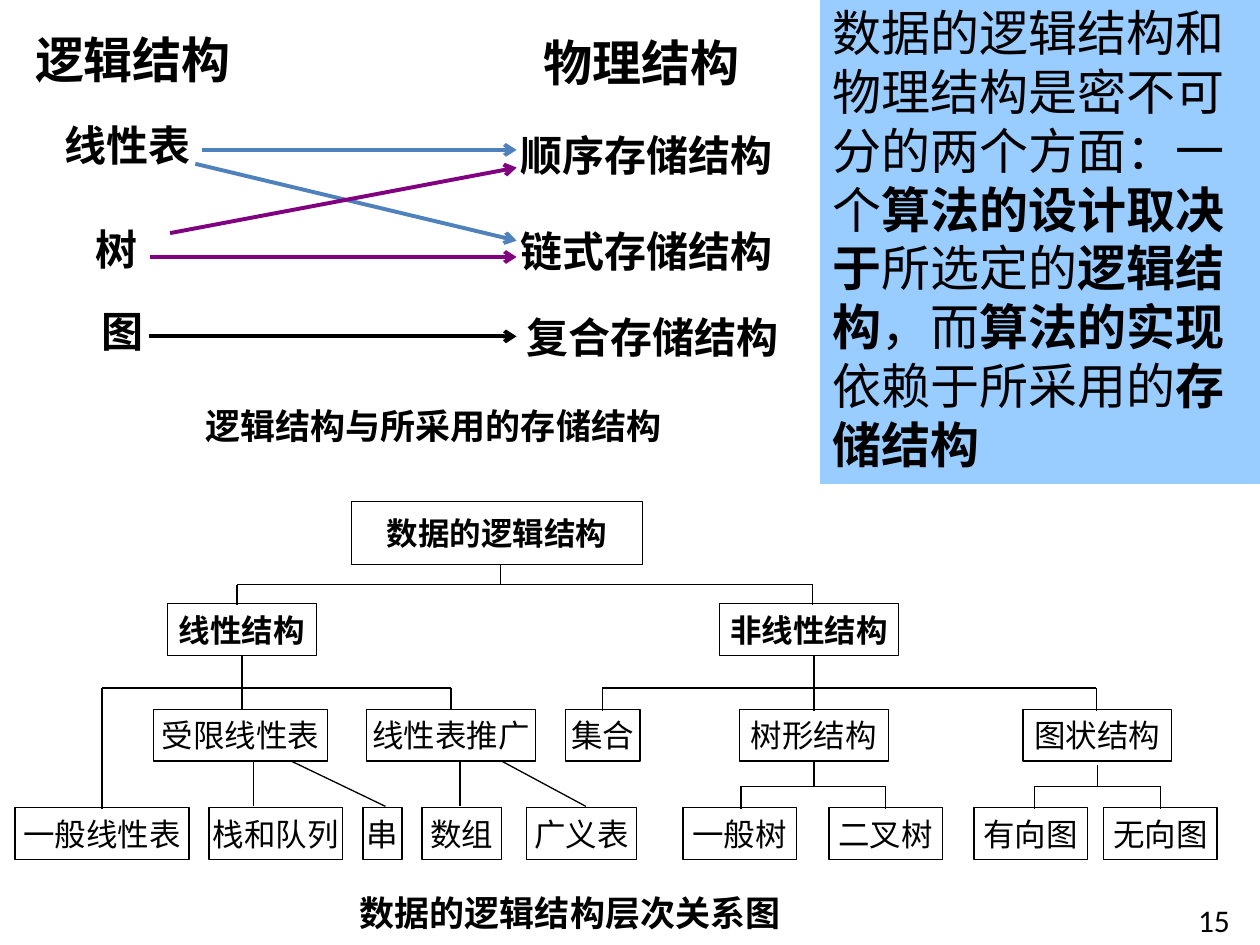
from lxml import etree
from pptx import Presentation
from pptx import util as u
from pptx.dml.color import RGBColor
from pptx.enum import shapes, text
from pptx.oxml import ns

BLACK = RGBColor(0x00, 0x00, 0x00)
BLUE = RGBColor(0x4F, 0x81, 0xBD)
PURPLE = RGBColor(0x80, 0x00, 0x80)
SKY = RGBColor(0x99, 0xCC, 0xFF)
SERIF = "Times New Roman"
SANS = "Noto Sans CJK SC"
CELL = u.Inches(0.1)
CENTER = text.PP_ALIGN.CENTER


def cells(*nums):
    return [int(n * CELL) for n in nums]


def shift(box, x, y):
    return box[0] + x, box[1] + y


def place(shape, box):
    shape.left, shape.top, shape.width, shape.height = cells(*box)


def write(shape, runs, size=18, font=SERIF, bold=False, align=CENTER,
          wrap=False, anchor=text.MSO_ANCHOR.MIDDLE):
    frame = shape.text_frame
    frame.auto_size = text.MSO_AUTO_SIZE.NONE
    frame.word_wrap = wrap
    frame.vertical_anchor = anchor
    para = frame.paragraphs[0]
    para.alignment = align
    para.space_before = u.Pt(0)
    for part, heavy in [(runs, bold)] if isinstance(runs, str) else runs:
        run = para.add_run()
        run.text = part
        run.font.size = u.Pt(size)
        run.font.name = font
        run.font.bold = heavy
        run.font.color.rgb = BLACK


def label(slide, box, words, **style):
    write(slide.shapes.add_textbox(*cells(*box)), words, **style)


def node(slide, box, words, bold=False):
    shape = slide.shapes.add_shape(shapes.MSO_SHAPE.RECTANGLE, *cells(*box))
    shape.shadow.inherit = False
    shape.fill.background()
    shape.line.color.rgb = BLACK
    shape.line.width = u.Pt(0.75)
    write(shape, words, bold=bold)


def link(slide, start, end, color=BLACK, width=0.75, arrow=False):
    line = slide.shapes.add_connector(
        shapes.MSO_CONNECTOR.STRAIGHT, *cells(*start, *end))
    line.line.color.rgb = color
    line.line.width = u.Pt(width)
    if arrow:
        edge = line.line._get_or_add_ln()
        etree.SubElement(edge, ns.qn("a:tailEnd"), type="arrow")
    etree.SubElement(line._element.spPr, ns.qn("a:effectLst"))


def fork(slide, box, stem, top, bar, kids, foot):
    def draw(x1, y1, x2, y2):
        link(slide, shift(box, x1, y1), shift(box, x2, y2))

    draw(stem, top, stem, bar)
    draw(min(kids), bar, max(kids), bar)
    for kid in kids:
        draw(kid, bar, kid, foot)


def mapping(slide, box):
    heads = [("逻辑结构", 2.2, 2.1, 16.7), ("物理结构", 43, 2.3, 15.8)]
    terms = [
        ("线性表", 3.5, 9.3, 13.3, 4.3), ("树", 5.1, 17.6, 8.3, 4.3),
        ("图", 6, 24.1, 7.5, 4.3), ("顺序存储结构", 41.3, 9.7, 20, 5.2),
        ("链式存储结构", 41.3, 17.3, 20, 5.2),
        ("复合存储结构", 41.8, 24.1, 20, 5.2),
    ]
    arrows = [
        (16, 11.9, 11.9, BLUE), (15.5, 13, 19.1, BLUE),
        (13.5, 18.5, 13.3, PURPLE), (11.9, 20.4, 20.4, PURPLE),
        (11.8, 26.7, 26.7, BLACK),
    ]
    for words, x, y, w in heads:
        label(slide, (*shift(box, x, y), w, 5.2), words, size=28, bold=True)
    for words, x, y, w, h in terms:
        label(slide, (*shift(box, x, y), w, h), words, size=24, bold=True)
    for x, y, end, color in arrows:
        link(slide, shift(box, x, y), shift(box, 41, end),
             color, 2.25, arrow=True)
    title = slide.shapes.title
    place(title, (*shift(box, 9.4, 31.6), 50, 4.3))
    write(title, "逻辑结构与所采用的存储结构",
          size=20, font=SANS, bold=True, wrap=True)


def panel(slide, box):
    body = slide.placeholders[1]
    place(body, box)
    body.fill.solid()
    body.fill.fore_color.rgb = SKY
    props = body.text_frame.paragraphs[0]._p.get_or_add_pPr()
    props.set("marL", "0")
    props.set("indent", "0")
    etree.SubElement(props, ns.qn("a:buNone"))
    write(body, [
        ("数据的逻辑结构和物理结构是密不可分的两个方面：一个", False),
        ("算法的设计取决于", True), ("所选定的", False),
        ("逻辑结构", True), ("，而", False), ("算法的实现", True),
        ("依赖于所采用的", False), ("存储结构", True),
    ], size=28, font="Calibri", align=text.PP_ALIGN.LEFT, wrap=True,
        anchor=text.MSO_ANCHOR.TOP)


def tree(slide, box):
    ranks = [
        (8.9, True, [("线性结构", 13.3, 11.8), ("非线性结构", 57.1, 14.2)]),
        (17.3, False, [("受限线性表", 12.2, 13.8), ("线性表推广", 29.1, 13.4),
                       ("集合", 44.9, 5.9), ("树形结构", 58.7, 11.8),
                       ("图状结构", 81.2, 11.8)]),
        (25.1, False, [("一般线性表", 1.2, 13.8), ("栈和队列", 16.6, 10.6),
                       ("串", 28.8, 3.1), ("数组", 33.5, 6.3),
                       ("广义表", 41.8, 8.7), ("一般树", 54.2, 9),
                       ("二叉树", 65.8, 9), ("有向图", 77.3, 9),
                       ("无向图", 87.6, 9)]),
    ]
    forks = [
        (39.7, 5.8, 7.4, (18.8, 64.5), 9),
        (19.2, 13, 15.6, (8.1, 19.2, 35.8), 17.3),
        (64.6, 13, 15.6, (47.8, 64.6, 87), 17.4),
        (64.6, 21.5, 23.4, (58.8, 70.3), 25.2),
        (87.1, 21.7, 23.4, (82.1, 92.1), 25.2),
    ]
    node(slide, (*shift(box, 27.9, 0.8), 23.1, 5), "数据的逻辑结构", bold=True)
    for y, bold, row in ranks:
        for words, x, w in row:
            node(slide, (*shift(box, x, y), w, 4.1), words, bold=bold)
    for args in forks:
        fork(slide, box, *args)
    link(slide, shift(box, 8.1, 17.3), shift(box, 8.1, 25.2))
    for start, end in [(20.1, 20.1), (23.1, 30.6), (36.5, 36.5), (39.8, 46.5)]:
        link(slide, shift(box, start, 21.4), shift(box, end, 25))
    label(slide, (*shift(box, 22.2, 30.8), 46.1, 5.2),
          "数据的逻辑结构层次关系图", size=20, font=SANS, bold=True, wrap=True)


def main():
    deck = Presentation()
    deck.slide_width, deck.slide_height = cells(100, 75)
    slide = deck.slides.add_slide(deck.slide_layouts[1])
    mapping(slide, (0, 0, 65, 38))
    tree(slide, (0, 39, 100, 36))
    panel(slide, (65.1, -0.3, 34.9, 38.7))
    label(slide, (94.1, 71, 5.9, 4), "15", font="Calibri",
          align=text.PP_ALIGN.LEFT, wrap=True, anchor=text.MSO_ANCHOR.TOP)
    deck.save("out.pptx")


if __name__ == "__main__":
    main()
